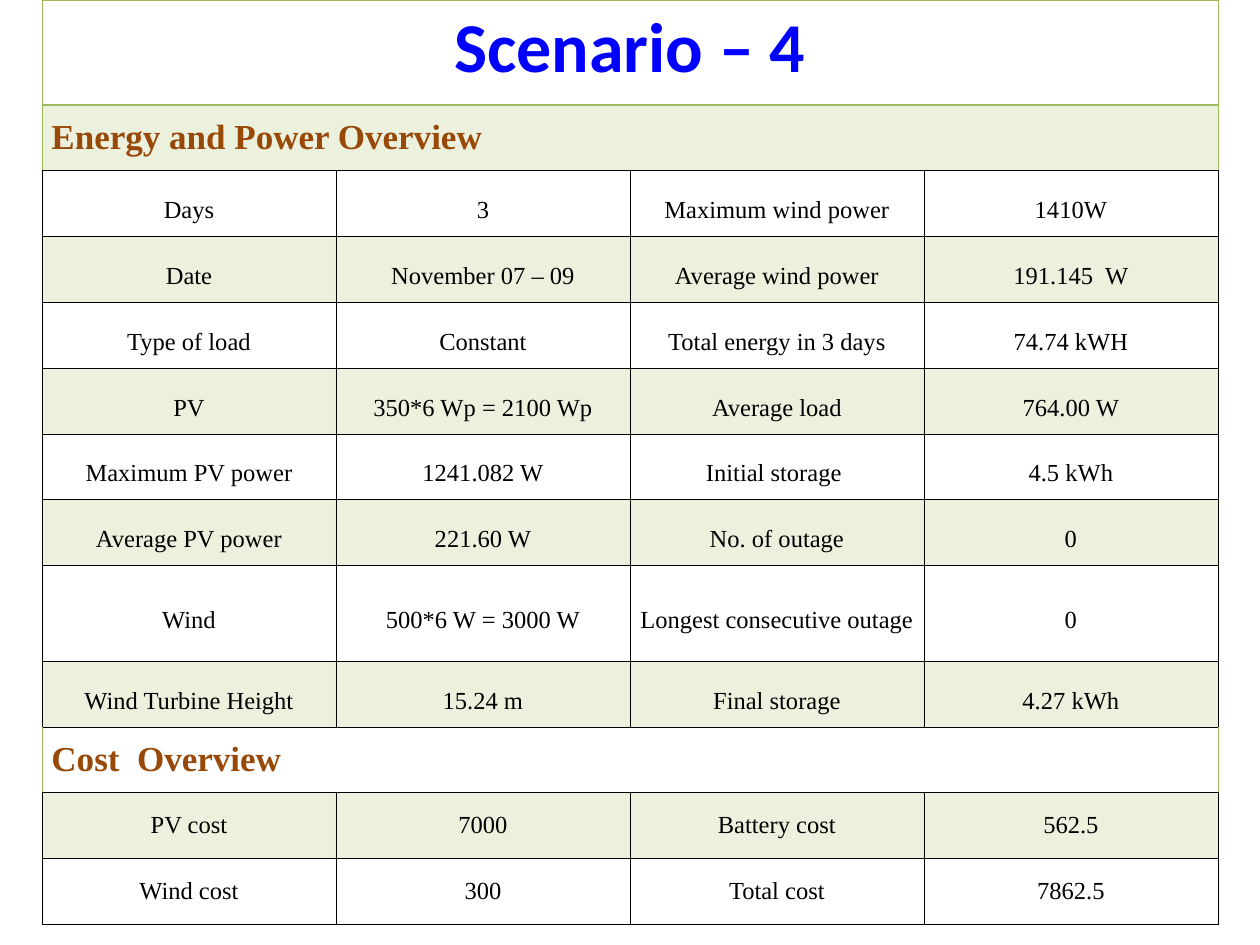
from lxml import etree
from pptx import Presentation
from pptx.dml.color import RGBColor
from pptx.enum.text import MSO_ANCHOR as ANCHOR, PP_ALIGN as ALIGN
from pptx.oxml.ns import qn
from pptx.util import Pt

BLUE = RGBColor(0x00, 0x00, 0xFF)
BROWN = RGBColor(0x98, 0x48, 0x07)
BLACK = RGBColor(0x00, 0x00, 0x00)
GREEN = RGBColor(0x9B, 0xBB, 0x59)

TITLE_ROW, ENERGY_ROW, COST_ROW = 0, 1, 10
HEADING_ROWS = (TITLE_ROW, ENERGY_ROW, COST_ROW)
WIND_ROW = 8
COLS = 4
COL_W, ROW_H, TITLE_H, WIND_H = 168, 37.6, 60, 54.7

ROWS = [
    ["Scenario – 4"],
    ["Energy and Power Overview"],
    ["Days", "3", "Maximum wind power", "1410W"],
    ["Date", "November 07 – 09", "Average wind power", "191.145  W"],
    ["Type of load", "Constant", "Total energy in 3 days", "74.74 kWH"],
    ["PV", "350*6 Wp = 2100 Wp", "Average load", "764.00 W"],
    ["Maximum PV power", "1241.082 W", "Initial storage ", "4.5 kWh"],
    ["Average PV power", "221.60 W", "No. of outage", "0"],
    ["Wind", "500*6 W = 3000 W", "Longest consecutive outage", "0"],
    ["Wind Turbine Height", "15.24 m", "Final storage", "4.27 kWh"],
    ["Cost  Overview"],
    ["PV cost", "7000", "Battery cost", "562.5"],
    ["Wind cost", "300", "Total cost", "7862.5"],
]


def add_border(cell, side, color, width):
    """Draw one side (L, R, T or B); call before the cell's fill is set."""
    tc_pr = cell._tc.get_or_add_tcPr()
    ln = etree.SubElement(tc_pr, qn(f"a:ln{side}"), w=str(Pt(width)))
    fill = etree.SubElement(ln, qn("a:solidFill"))
    etree.SubElement(fill, qn("a:srgbClr"), val=str(color))


def tint(cell, color, percent):
    """Fill the cell with a see-through colour."""
    cell.fill.solid()
    cell.fill.fore_color.rgb = color
    clr = cell._tc.tcPr.find(qn("a:solidFill")).find(qn("a:srgbClr"))
    etree.SubElement(clr, qn("a:alpha"), val=str(percent * 1000))


prs = Presentation()
prs.slide_width, prs.slide_height = Pt(720), Pt(540)
s = prs.slides.add_slide(prs.slide_layouts[6])

heights = [{TITLE_ROW: TITLE_H, WIND_ROW: WIND_H}.get(i, ROW_H) for i in range(len(ROWS))]
table = s.shapes.add_table(len(ROWS), COLS, Pt(24), Pt(0),
                           Pt(COL_W * COLS), Pt(sum(heights))).table
table.first_row = table.horz_banding = False
for col in table.columns:
    col.width = Pt(COL_W)
for row, height in zip(table.rows, heights):
    row.height = Pt(height)
for i in HEADING_ROWS:
    table.cell(i, 0).merge(table.cell(i, COLS - 1))

for i, texts in enumerate(ROWS):
    heading = i in HEADING_ROWS
    side_line = (GREEN if heading else BLACK, 0.45)
    top_line = {TITLE_ROW: (GREEN, 0.45), ENERGY_ROW: (GREEN, 0.96)}.get(i, (BLACK, 0.45))
    bottom_line = (GREEN, 0.96) if i == TITLE_ROW else (BLACK, 0.45)
    for j in range(COLS):
        cell = table.cell(i, j)
        if not cell.is_spanned:
            add_border(cell, "L", *side_line)
        if not cell.is_spanned or j == COLS - 1:
            add_border(cell, "R", *side_line)
        add_border(cell, "T", *top_line)
        add_border(cell, "B", *bottom_line)
        if i % 2:
            tint(cell, GREEN, 20)
        else:
            cell.fill.background()

    for j, text in enumerate(texts):
        cell = table.cell(i, j)
        cell.vertical_anchor = ANCHOR.TOP if i == TITLE_ROW else ANCHOR.MIDDLE
        cell.margin_left = cell.margin_right = Pt(7.2 if i == TITLE_ROW else 5.4)
        cell.margin_top = cell.margin_bottom = Pt(3.6)
        p = cell.text_frame.paragraphs[0]
        p.alignment = ALIGN.LEFT if i in (ENERGY_ROW, COST_ROW) else ALIGN.CENTER
        if ENERGY_ROW < i < COST_ROW:
            p.line_spacing = 1.5
        r = p.add_run()
        r.text = text
        r.font.name = "Calibri" if i == TITLE_ROW else "Times New Roman"
        r.font.bold = heading
        if i == TITLE_ROW:
            r.font.size, r.font.color.rgb = Pt(40), BLUE
        elif heading:
            r.font.size, r.font.color.rgb = Pt(20), BROWN
        else:
            r.font.size, r.font.color.rgb = Pt(14), BLACK

prs.save("out.pptx")
